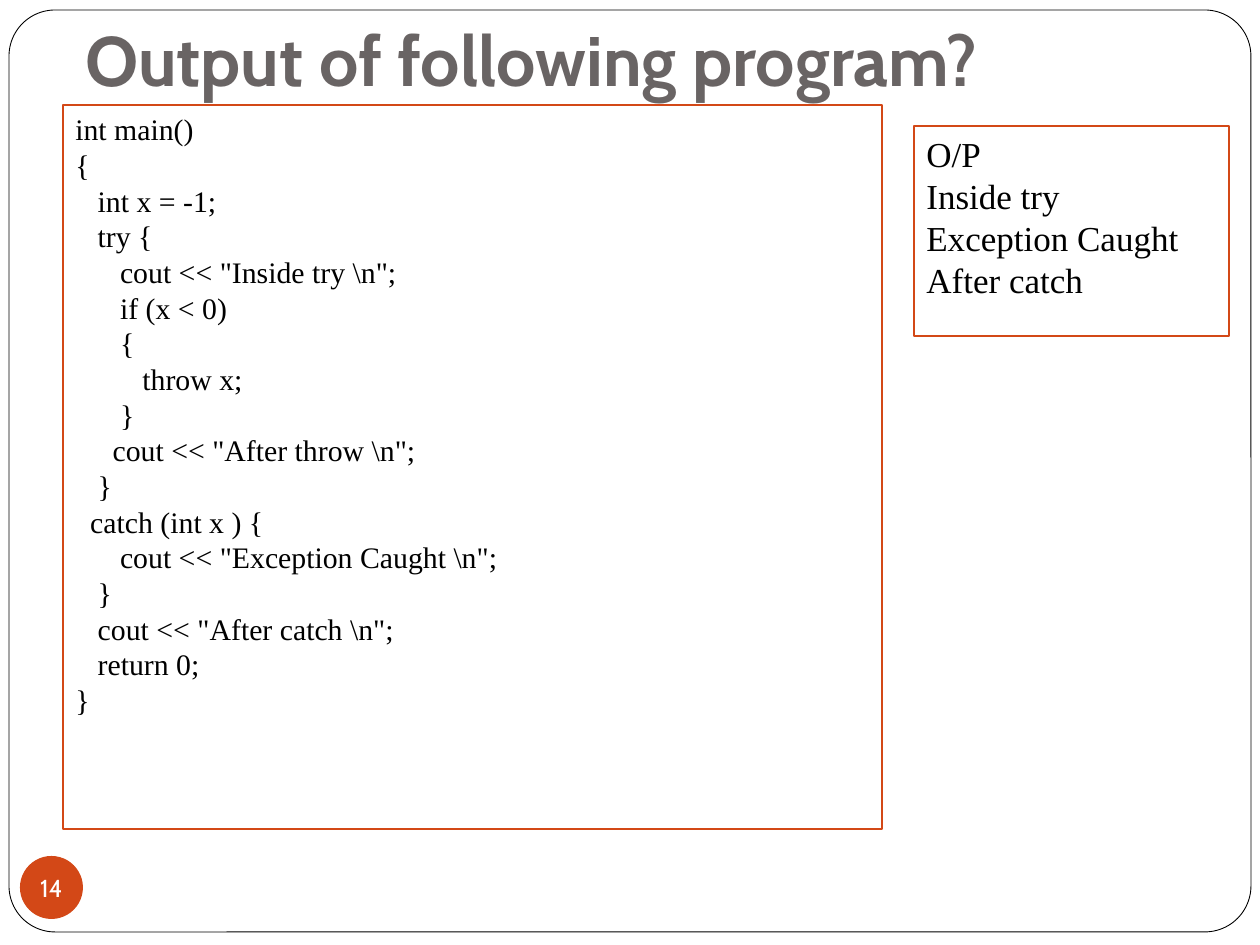
from pptx import Presentation
from pptx.dml.color import RGBColor
from pptx.enum.shapes import MSO_SHAPE as Shape
from pptx.enum.text import MSO_ANCHOR as Anchor, PP_ALIGN as Align
from pptx.util import Emu, Pt

PX_PER_INCH = 126
ORANGE = RGBColor(0xD3, 0x48, 0x17)
GREY = RGBColor(0x69, 0x64, 0x64)
BLACK = RGBColor(0, 0, 0)
WHITE = RGBColor(0xFF, 0xFF, 0xFF)
HEADING_FONT = "Cabin"
BODY_FONT = "Times New Roman"

PROGRAM = r'''int main()
{
   int x = -1;
   try {
      cout << "Inside try \n";
      if (x < 0)
      {
         throw x;
      }
     cout << "After throw \n";
   }
  catch (int x ) {
      cout << "Exception Caught \n";
   }
   cout << "After catch \n";
   return 0;
}'''
OUTPUT = "O/P\nInside try\nException Caught\nAfter catch"


def px(length):
    return Emu(round(length * 914400 / PX_PER_INCH))


def add_shape(page, kind, box, fill=None, line=None, width=0.75):
    shape = page.shapes.add_shape(kind, *map(px, box))
    shape.shadow.inherit = False
    if fill is None:
        shape.fill.background()
    else:
        shape.fill.solid()
        shape.fill.fore_color.rgb = fill
    if line is None:
        shape.line.fill.background()
    else:
        shape.line.color.rgb = line
        shape.line.width = Pt(width)
    return shape


def set_font(para, name, size, color, bold=False):
    para.font.name = name
    para.font.size = Pt(size)
    para.font.color.rgb = color
    para.font.bold = bold


def add_frame(page, box):
    frame = add_shape(page, Shape.ROUNDED_RECTANGLE, box, WHITE, BLACK, 0.5)
    frame.adjustments[0] = 0.05


def add_title(page, box, text):
    """Place the title with its last line lifted well above the box bottom."""
    frame = page.shapes.add_textbox(*map(px, box)).text_frame
    frame.word_wrap = True
    frame.vertical_anchor = Anchor.BOTTOM
    frame.margin_bottom = px(98)
    para = frame.paragraphs[0]
    para.text = text
    set_font(para, HEADING_FONT, 40, GREY, bold=True)


def add_listing(page, box, text, size):
    """Place an outlined box with one paragraph for each line of text."""
    frame = add_shape(page, Shape.RECTANGLE, box, line=ORANGE).text_frame
    frame.word_wrap = True
    frame.vertical_anchor = Anchor.TOP
    frame.text = text
    for para in frame.paragraphs:
        para.alignment = Align.LEFT
        para.line_spacing = Pt(size * 1.2)
        set_font(para, BODY_FONT, size, BLACK)


def add_page_number(page, box, number):
    frame = add_shape(page, Shape.OVAL, box, fill=ORANGE).text_frame
    frame.word_wrap = False
    frame.vertical_anchor = Anchor.MIDDLE
    frame.margin_left = frame.margin_right = 0
    frame.margin_top = frame.margin_bottom = 0
    para = frame.paragraphs[0]
    para.text = number
    para.alignment = Align.CENTER
    set_font(para, HEADING_FONT, 14, WHITE)


def main():
    deck = Presentation()
    deck.slide_width, deck.slide_height = px(1260), px(945)
    page = deck.slides.add_slide(deck.slide_layouts[6])
    add_frame(page, (9, 10, 1242, 922))
    add_title(page, (73, 38, 1124, 161), "Output of following program?")
    add_listing(page, (63, 105, 819, 724), PROGRAM, 17)
    add_page_number(page, (20, 856, 63, 63), "14")
    add_listing(page, (914, 126, 315, 210), OUTPUT, 20)
    deck.save("out.pptx")


if __name__ == "__main__":
    main()
